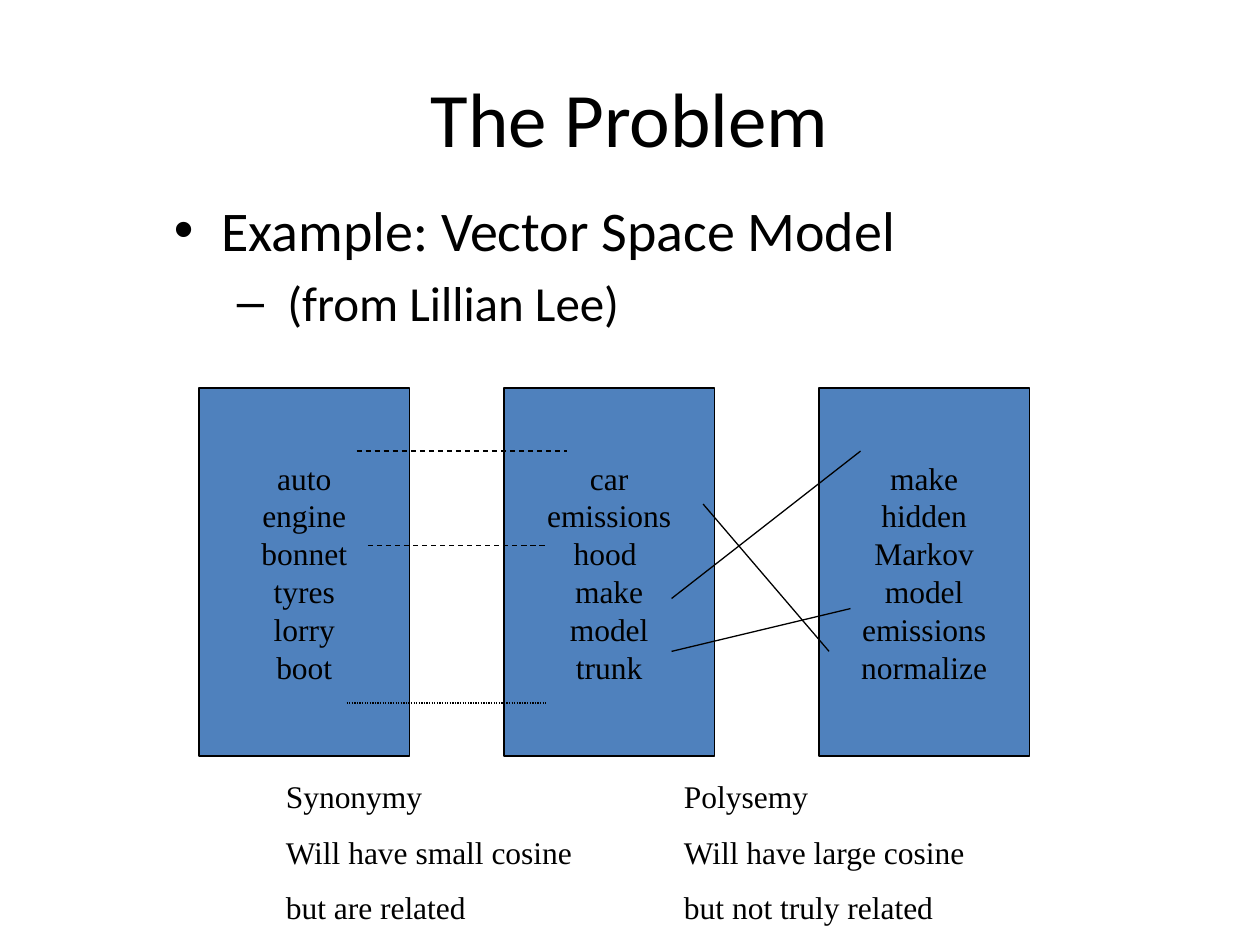
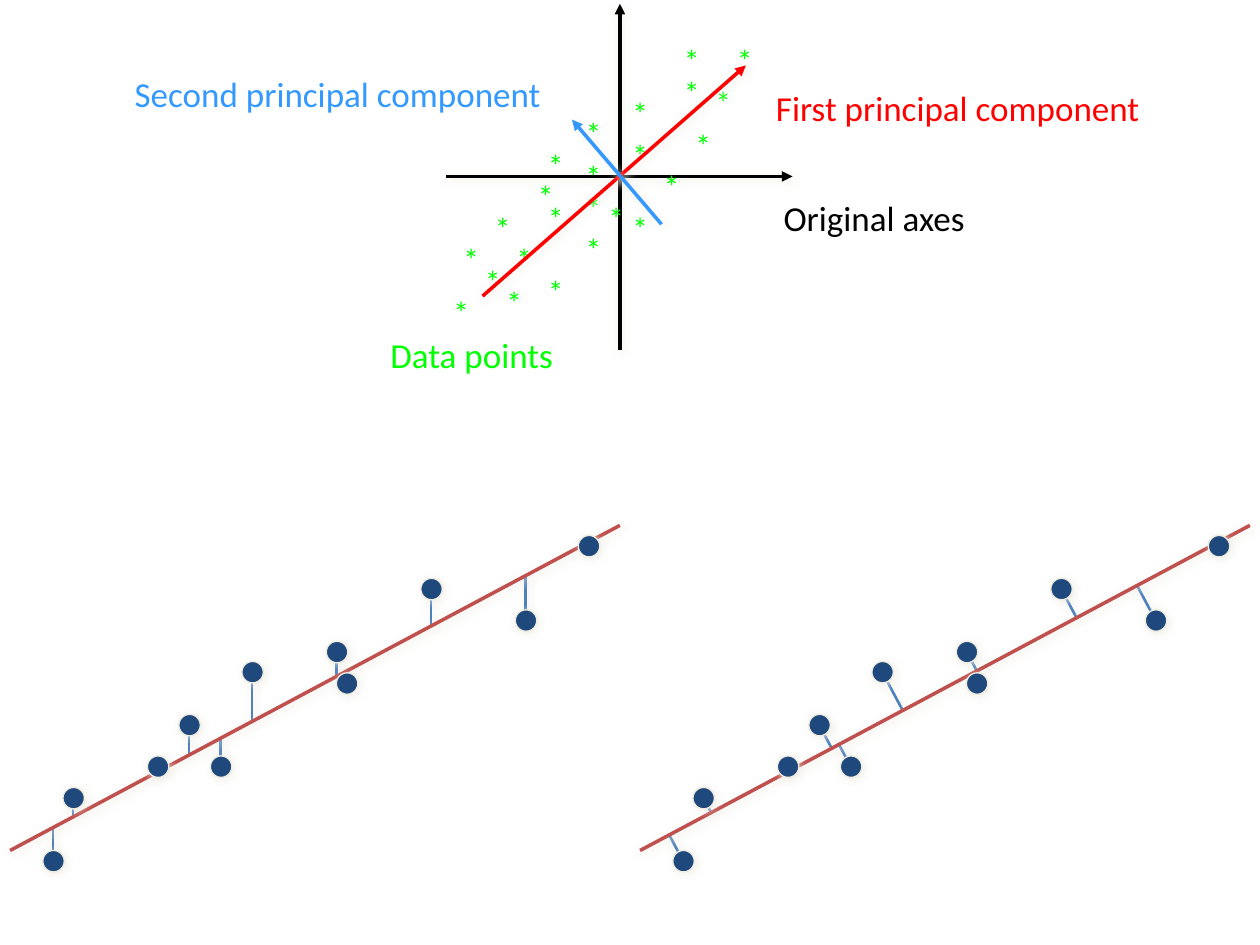
"""Builds two slides: word matches between texts, and principal components."""
from dataclasses import dataclass
from math import atan2, cos, sin
from typing import Any, Optional

from lxml import etree
from pptx import Presentation
from pptx.dml.color import RGBColor
from pptx.enum.dml import MSO_LINE
from pptx.enum.shapes import MSO_CONNECTOR, MSO_SHAPE
from pptx.enum.text import MSO_ANCHOR, MSO_AUTO_SIZE, PP_ALIGN
from pptx.oxml.ns import qn
from pptx.util import Inches, Pt

STRAIGHT = MSO_CONNECTOR.STRAIGHT
RECT, OVAL = MSO_SHAPE.RECTANGLE, MSO_SHAPE.OVAL
DASH, DOTTED = MSO_LINE.DASH, MSO_LINE.ROUND_DOT
CENTER, MIDDLE = PP_ALIGN.CENTER, MSO_ANCHOR.MIDDLE
GROW = MSO_AUTO_SIZE.SHAPE_TO_FIT_TEXT

BLACK = RGBColor(0x00, 0x00, 0x00)
BLUE = RGBColor(0x4F, 0x81, 0xBD)
NAVY = RGBColor(0x1F, 0x49, 0x7D)
BRICK = RGBColor(0xC0, 0x50, 0x4D)
CREAM = RGBColor(0xEE, 0xEC, 0xE1)
GREEN = RGBColor(0x00, 0xFF, 0x00)
RED = RGBColor(0xFF, 0x00, 0x00)
SKY = RGBColor(0x33, 0x99, 0xFF)
SANS, SERIF = "Calibri", "Times New Roman"


@dataclass
class Line:
    """A straight line between two points."""
    x1: float
    y1: float
    x2: float
    y2: float
    color: RGBColor = BLACK
    width: float = 0.75
    dash: Any = None
    arrow: bool = False
    shade: bool = False


@dataclass
class Label:
    """A text box with one style for all its lines."""
    x: float
    y: float
    w: float
    h: float
    text: str
    color: RGBColor = BLACK
    size: float = 20
    font: str = SANS
    gap: Optional[float] = None


@dataclass
class Box:
    """A column of words."""
    x: float
    words: tuple[str, ...]


BOXES = (
    Box(1.58, ("auto", "engine", "bonnet", "tyres", "lorry", "boot")),
    Box(4, ("car", "emissions", "hood ", "make", "model", "trunk")),
    Box(6.5, ("make", "hidden", "Markov", "model", "emissions", "normalize")),
)
LINKS = (
    Line(2.83, 3.58, 4.5, 3.58, dash=DASH),
    Line(2.92, 4.33, 4.33, 4.33, dash=DASH),
    Line(2.75, 5.58, 4.33, 5.58, dash=DOTTED),
    Line(6.83, 3.58, 5.33, 4.75),
    Line(6.75, 4.83, 5.33, 5.17),
    Line(6.58, 5.17, 5.58, 4),
)
NOTES = (
    Label(2.17, 6.17, 2.5, 1.2, "Synonymy\nWill have small cosine\nbut are related",
          size=18, font=SERIF, gap=10),
    Label(5.33, 6.17, 2.92, 1.2, "Polysemy\nWill have large cosine\nbut not truly related",
          size=18, font=SERIF, gap=10),
)

DOTS = ((2, 5.33), (2.75, 5.42), (3.42, 4.67), (1.75, 6.08), (2.67, 5.17), (1.5, 5.75),
        (1.25, 6.08), (0.58, 6.33), (4.67, 4.33), (4.17, 4.92), (0.42, 6.83))
FIT = (0.08, 6.75, 4.92, 4.17)
RADIUS = 0.08

AXES = (
    Line(4.92, 2.78, 4.92, 0.03, width=2, arrow=True, shade=True),
    Line(3.54, 1.4, 6.29, 1.4, width=2, arrow=True, shade=True),
)
PARTS = (
    Line(3.83, 2.35, 5.92, 0.52, RED, 2, arrow=True, shade=True),
    Line(5.25, 1.78, 4.54, 0.95, SKY, 2, arrow=True, shade=True),
)
STARS = (
    (3.92, 2.2), (3.5, 2.28), (5.17, 1.28), (4.92, 1.03), (4.92, 0.7), (5.42, 0.95),
    (5.33, 0.53), (5.58, 0.61), (5.75, 0.28), (4.25, 1.11), (4.55, 1.45), (4.55, 1.2),
    (4.73, 1.53), (5.33, 0.28), (4.55, 0.86), (4.25, 2.11), (3.83, 1.61), (4, 1.86),
    (4.55, 1.78), (4.25, 1.53), (4.17, 1.36), (4.92, 1.61), (3.75, 2.03), (3.58, 1.86),
)
NAMES = (
    Label(6.12, 1.51, 1.72, 0.43, "Original axes"),
    Label(3, 2.6, 1.54, 0.43, "Data points", GREEN),
    Label(6.06, 0.64, 3.19, 0.43, "First principal component", RED),
    Label(0.97, 0.53, 3.58, 0.43, "Second principal component", SKY),
)


def set_glow(shape: Any, shade: bool) -> None:
    """Give a shape the soft cream shadow, or none at all."""
    effect = etree.SubElement(shape._element.spPr, qn("a:effectLst"))
    if shade:
        cast = etree.SubElement(effect, qn("a:outerShdw"), blurRad=str(Pt(5)),
                                dist=str(Pt(1.4)), dir="2700000", rotWithShape="0")
        tint = etree.SubElement(cast, qn("a:srgbClr"), val=str(CREAM))
        etree.SubElement(tint, qn("a:alpha"), val="75000")


def draw_line(slide: Any, line: Line) -> None:
    """Draw a line with its dash, arrowhead and shadow."""
    ends = (Inches(v) for v in (line.x1, line.y1, line.x2, line.y2))
    shape = slide.shapes.add_connector(STRAIGHT, *ends)
    shape.line.color.rgb = line.color
    shape.line.width = Pt(line.width)
    if line.dash:
        shape.line.dash_style = line.dash
    if line.arrow:
        etree.SubElement(shape.line._get_or_add_ln(), qn("a:tailEnd"), type="triangle")
    set_glow(shape, line.shade)


def style_text(frame: Any, size: float, font: str, color: RGBColor) -> None:
    """Format all runs of a text frame alike."""
    for para in frame.paragraphs:
        for run in para.runs:
            run.font.size = Pt(size)
            run.font.name = font
            run.font.color.rgb = color


def draw_label(slide: Any, label: Label) -> None:
    """Draw a text box; a gap spaces its lines and lets them wrap."""
    place = (Inches(v) for v in (label.x, label.y, label.w, label.h))
    frame = slide.shapes.add_textbox(*place).text_frame
    frame.text = label.text
    frame.auto_size = GROW
    frame.word_wrap = label.gap is not None
    if label.gap is not None:
        frame.margin_top = frame.margin_bottom = 0
        for para in frame.paragraphs[1:]:
            para.space_before = Pt(label.gap)
    style_text(frame, label.size, label.font, label.color)


def draw_box(slide: Any, box: Box) -> None:
    """Draw a blue column with its words centred."""
    shape = slide.shapes.add_shape(RECT, Inches(box.x), Inches(3.08), Inches(1.67), Inches(2.92))
    shape.fill.solid()
    shape.fill.fore_color.rgb = BLUE
    shape.line.color.rgb = BLACK
    shape.line.width = Pt(0.75)
    shape.shadow.inherit = False
    frame = shape.text_frame
    frame.text = "\n".join(box.words)
    frame.word_wrap = False
    frame.vertical_anchor = MIDDLE
    for para in frame.paragraphs:
        para.alignment = CENTER
    style_text(frame, 18, SERIF, BLACK)


def draw_dot(slide: Any, x: float, y: float) -> None:
    """Draw a navy dot around a centre."""
    side = Inches(2 * RADIUS + 0.01)
    shape = slide.shapes.add_shape(OVAL, Inches(x - RADIUS), Inches(y - RADIUS), side, side)
    shape.fill.solid()
    shape.fill.fore_color.rgb = NAVY
    shape.line.color.rgb = CREAM
    shape.line.width = Pt(0.75)
    set_glow(shape, True)


def draw_fit(slide: Any, left: float, square: bool) -> None:
    """Draw dots, the fitted line, and stalks upright or square to it."""
    x1, y1, x2, y2 = FIT
    slope = (y2 - y1) / (x2 - x1)
    angle = atan2(y2 - y1, x2 - x1)
    for x, y in DOTS:
        gap = y1 + slope * (x - x1) - y
        if abs(gap) > 0.1:
            dx, dy = 0.0, gap
            if square:
                dx, dy = -gap * sin(angle) * cos(angle), gap * cos(angle) ** 2
            draw_line(slide, Line(left + x, y, left + x + dx, y + dy, BLUE, 1.5, shade=True))
    draw_line(slide, Line(left + x1, y1, left + x2, y2, BRICK, 2, shade=True))
    for x, y in DOTS:
        draw_dot(slide, left + x, y)


def add_match(deck: Any) -> None:
    """Add the slide on matching words."""
    slide = deck.slides.add_slide(deck.slide_layouts[1])
    title, body = slide.placeholders
    title.text_frame.text = "The Problem"
    style_text(title.text_frame, 44, SANS, BLACK)
    body.left, body.top = Inches(1.28), Inches(1.5)
    body.width, body.height = Inches(8.5), Inches(5.17)
    body.text_frame.text = "Example: Vector Space Model\n (from Lillian Lee)"
    style_text(body.text_frame, 32, SANS, BLACK)
    source = body.text_frame.paragraphs[1]
    source.level = 1
    source.runs[0].font.size = Pt(28)
    for box in BOXES:
        draw_box(slide, box)
    for link in LINKS:
        draw_line(slide, link)
    for note in NOTES:
        draw_label(slide, note)


def add_parts(deck: Any) -> None:
    """Add the slide on principal components."""
    slide = deck.slides.add_slide(deck.slide_layouts[6])
    draw_fit(slide, 0, False)
    draw_fit(slide, 5, True)
    for axis in AXES:
        draw_line(slide, axis)
    for x, y in STARS:
        draw_label(slide, Label(x, y, 0.37, 0.5, "*", GREEN, 18))
    for part in PARTS:
        draw_line(slide, part)
    for name in NAMES:
        draw_label(slide, name)


def main() -> None:
    """Build and save the deck."""
    deck = Presentation()
    deck.slide_width, deck.slide_height = Inches(10), Inches(7.5)
    add_match(deck)
    add_parts(deck)
    deck.save("out.pptx")


if __name__ == "__main__":
    main()
